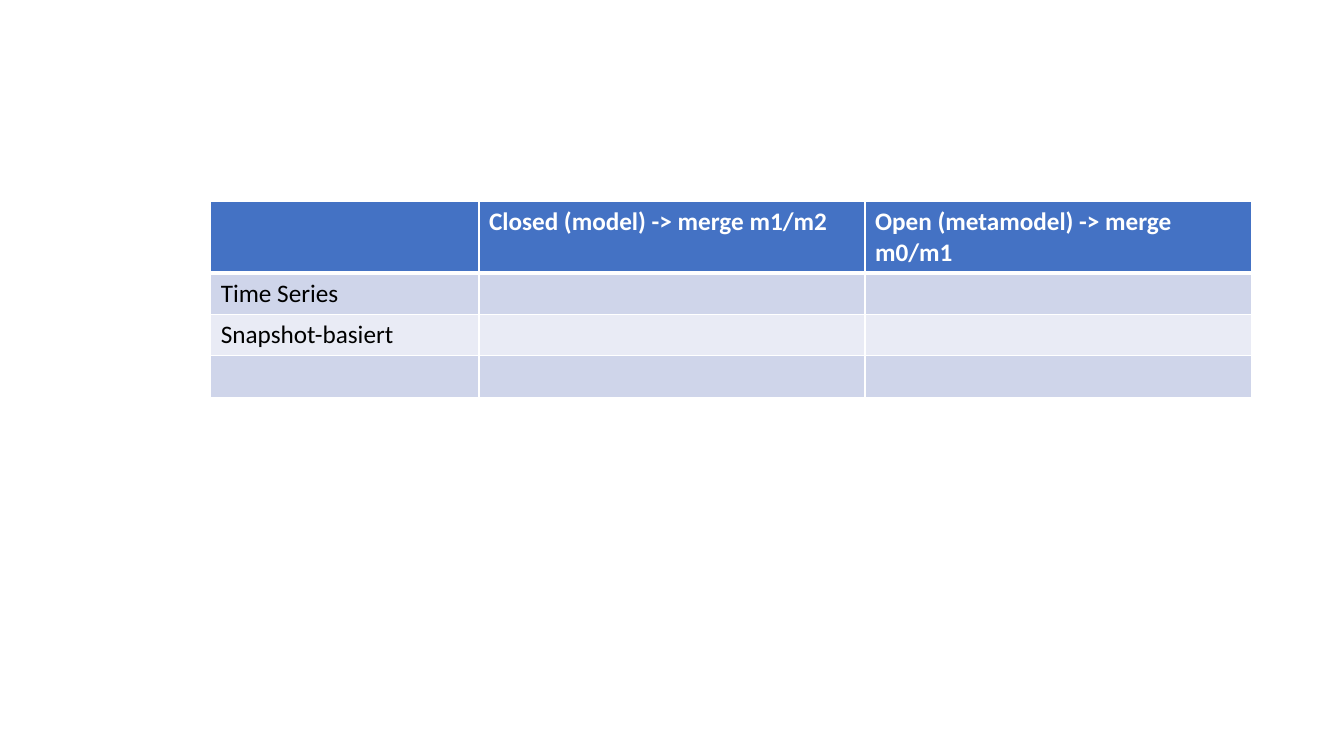
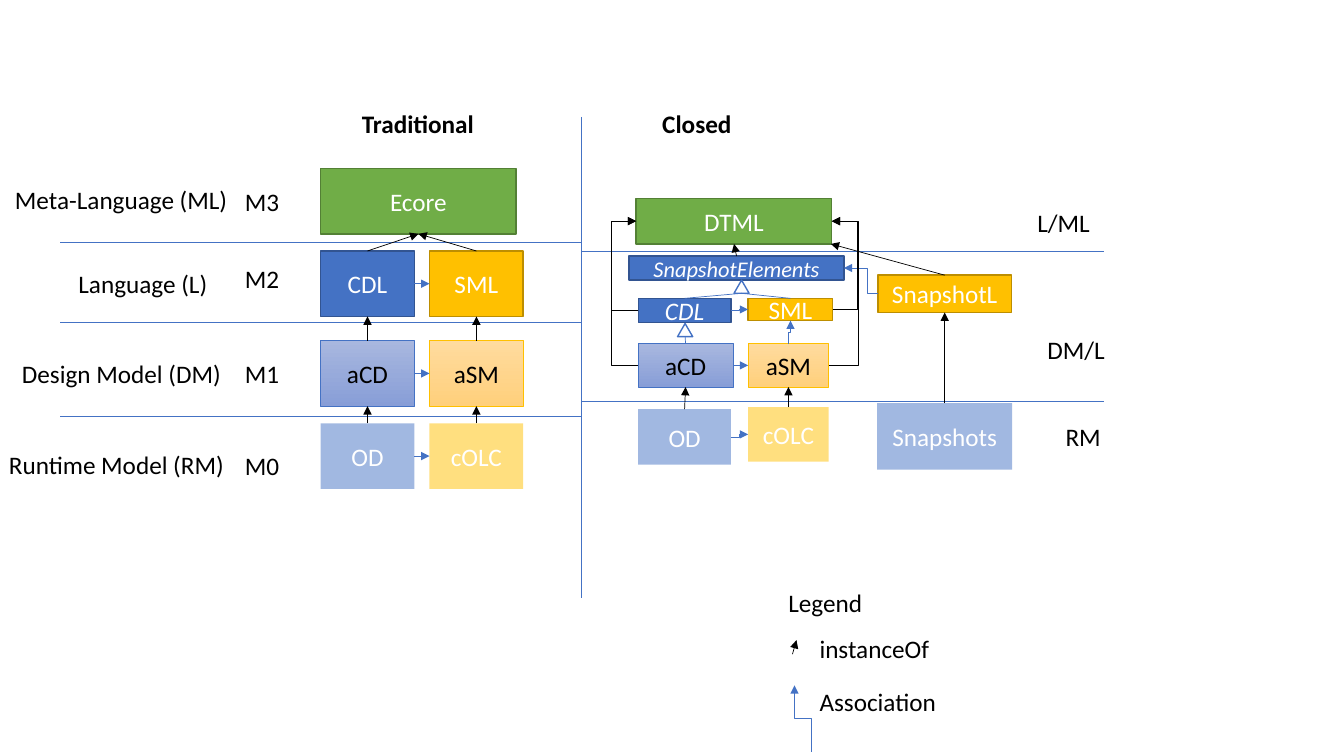
from lxml import etree
from pptx import Presentation
from pptx.dml.color import RGBColor
from pptx.enum.shapes import MSO_CONNECTOR, MSO_SHAPE
from pptx.enum.text import MSO_ANCHOR, PP_ALIGN
from pptx.oxml.ns import qn
from pptx.util import Inches, Pt

STRAIGHT, ELBOW = MSO_CONNECTOR.STRAIGHT, MSO_CONNECTOR.ELBOW
RECTANGLE, TRIANGLE = MSO_SHAPE.RECTANGLE, MSO_SHAPE.ISOSCELES_TRIANGLE
MIDDLE, CENTER = MSO_ANCHOR.MIDDLE, PP_ALIGN.CENTER
TOP, LEFT, BOTTOM, RIGHT = range(4)  # connection sites of a rectangle

FONT = "Calibri"
BLUE, GOLD, GREEN = "4472C4", "FFC000", "70AD47"
BLACK, WHITE = "000000", "FFFFFF"
BAND_DARK, BAND_LIGHT = "CFD5EA", "E9EBF5"

# style: fill (two colours make a gradient), opacity, line, line width, text
STYLES = {
    "meta": ([GREEN], 100, "538035", 1, WHITE),
    "class": ([BLUE], 100, "325491", 1, WHITE),
    "state": ([GOLD], 100, "BD8E00", 1, WHITE),
    "class model": (["A8B7DF", "889ED7"], 100, BLUE, 0.5, BLACK),
    "state model": (["FFDB9E", "FFD07C"], 100, GOLD, 0.5, BLACK),
    "class runtime": ([BLUE], 50, None, 0, WHITE),
    "state runtime": ([GOLD], 50, None, 0, WHITE),
    "inheritance": ([WHITE], 100, BLUE, 1, BLACK),
}


def rgb(value):
    return RGBColor.from_string(value)


def write(paragraph, text, color=BLACK, size=18, bold=False, italic=False):
    run = paragraph.add_run()
    run.text = text
    font = run.font
    font.name, font.size = FONT, Pt(size)
    font.bold, font.italic = bold, italic
    font.color.rgb = rgb(color)


def add_label(slide, text, left, top, width, bold=False):
    label = slide.shapes.add_textbox(
        Inches(left), Inches(top), Inches(width), Inches(0.4))
    label.text_frame.word_wrap = True
    write(label.text_frame.paragraphs[0], text, bold=bold)


def add_box(slide, style, text, left, top, width, height, kind=RECTANGLE,
            **font):
    fills, opacity, line, line_width, color = STYLES[style]
    shape = slide.shapes.add_shape(
        kind, Inches(left), Inches(top), Inches(width), Inches(height))
    shape.shadow.inherit = False
    if len(fills) == 2:
        shape.fill.gradient()
        shape.fill.gradient_angle = 270
        for stop, value in zip(shape.fill.gradient_stops, fills):
            stop.color.rgb = rgb(value)
    else:
        shape.fill.solid()
        shape.fill.fore_color.rgb = rgb(fills[0])
    if opacity < 100:
        for value in shape._element.spPr.iter(qn("a:srgbClr")):
            etree.SubElement(value, qn("a:alpha"), val=str(opacity * 1000))
    if line:
        shape.line.color.rgb = rgb(line)
        shape.line.width = Pt(line_width)
    else:
        shape.line.fill.background()
    if text:
        shape.text_frame.vertical_anchor = MIDDLE
        paragraph = shape.text_frame.paragraphs[0]
        paragraph.alignment = CENTER
        write(paragraph, text, color, **font)
    return shape


def point(left, top):
    return Inches(left), Inches(top)


def site(shape, side):
    """Return the middle of one side of a shape."""
    middle = shape.left + shape.width // 2, shape.top + shape.height // 2
    return {
        TOP: (middle[0], shape.top),
        LEFT: (shape.left, middle[1]),
        BOTTOM: (middle[0], shape.top + shape.height),
        RIGHT: (shape.left + shape.width, middle[1]),
    }[side]


def add_line(slide, start, end, color=BLUE, arrow=False, kind=STRAIGHT):
    connector = slide.shapes.add_connector(kind, *start, *end)
    connector.line.color.rgb = rgb(color)
    connector.line.width = Pt(0.5)
    if arrow:
        etree.SubElement(connector.line._get_or_add_ln(), qn("a:tailEnd"),
                         type="triangle")
    etree.SubElement(connector._element.spPr, qn("a:effectLst"))
    return connector


def join(slide, source, source_side, target, target_side, color=BLACK,
         arrow=True):
    """Glue a straight line to the sides of two boxes."""
    connector = add_line(slide, site(source, source_side),
                         site(target, target_side), color, arrow)
    connector.begin_connect(source, source_side)
    connector.end_connect(target, target_side)


def add_elbow(slide, start, end, color=BLUE, bend=None):
    """Draw an arrow that leaves sideways and turns at the position bend."""
    connector = add_line(slide, start, end, color, True, ELBOW)
    if bend is not None:
        ratio = (bend - start[0]) / (end[0] - start[0])
        guides = connector._element.spPr.find(qn("a:prstGeom")).get_or_add_avLst()
        etree.SubElement(guides, qn("a:gd"), name="adj1",
                         fmla=f"val {round(ratio * 100000)}")


def add_rising_elbow(slide, start, end):
    """Draw an arrow that leaves upwards, as an elbow turned by 270 degrees."""
    across, rise = end[0] - start[0], start[1] - end[1]
    middle_x, middle_y = (start[0] + end[0]) // 2, (start[1] + end[1]) // 2
    connector = add_line(
        slide, (middle_x - rise // 2, middle_y - across // 2),
        (middle_x + rise // 2, middle_y + across // 2), BLUE, True, ELBOW)
    connector._element.spPr.find(qn("a:xfrm")).set("rot", "16200000")


def set_borders(cell, bottom_width):
    properties = cell._tc.get_or_add_tcPr()
    widths = {"a:lnL": 1, "a:lnR": 1, "a:lnT": 1, "a:lnB": bottom_width}
    for index, (tag, width) in enumerate(widths.items()):
        line = etree.Element(qn(tag), w=str(Pt(width)))
        fill = etree.SubElement(line, qn("a:solidFill"))
        etree.SubElement(fill, qn("a:srgbClr"), val=WHITE)
        properties.insert(index, line)


def add_comparison_table(slide, left, top):
    rows = [
        ["", "Closed (model) -> merge m1/m2", "Open (metamodel) -> merge m0/m1"],
        ["Time Series", "", ""],
        ["Snapshot-basiert", "", ""],
        ["", "", ""],
    ]
    widths, heights = [2.66, 3.83, 3.83], [0.7, 0.41, 0.41, 0.41]
    table = slide.shapes.add_table(
        len(rows), len(widths), Inches(left), Inches(top),
        Inches(sum(widths)), Inches(sum(heights))).table
    for column, width in zip(table.columns, widths):
        column.width = Inches(width)
    for index, (texts, height) in enumerate(zip(rows, heights)):
        table.rows[index].height = Inches(height)
        header = index == 0
        fill = BLUE if header else BAND_DARK if index % 2 else BAND_LIGHT
        for cell, text in zip(table.rows[index].cells, texts):
            cell.fill.solid()
            cell.fill.fore_color.rgb = rgb(fill)
            above_body = index <= 1
            set_borders(cell, 3 if header else 1)
            if above_body and not header:
                cell._tc.tcPr.find(qn("a:lnT")).set("w", str(Pt(3)))
            if text:
                write(cell.text_frame.paragraphs[0], text,
                      WHITE if header else BLACK, bold=header)


def add_level_lines(slide):
    lines = [
        (5.77, 3.98, 10.95, 3.98), (5.77, 2.49, 10.95, 2.49),
        (0.6, 4.13, 5.77, 4.13), (0.6, 3.2, 5.77, 3.2),
        (0.6, 2.4, 5.77, 2.4), (5.77, 1.16, 5.77, 5.93),
    ]
    for x1, y1, x2, y2 in lines:
        add_line(slide, point(x1, y1), point(x2, y2))


def add_level_labels(slide):
    labels = [
        ("Meta-Language (ML)", 0.05, 1.78, 2.48), ("M3", 2.33, 1.8, 0.57),
        ("Language (L)", 0.68, 2.61, 1.54), ("M2", 2.33, 2.56, 0.57),
        ("Design Model (DM)", 0.12, 3.51, 2.23), ("M1", 2.33, 3.51, 0.57),
        ("Runtime Model (RM)", -0.01, 4.41, 2.48), ("M0", 2.33, 4.42, 0.57),
        ("L/ML", 10.19, 2.01, 1.72), ("DM/L", 10.29, 3.27, 1.72),
        ("RM", 10.47, 4.13, 1.72),
    ]
    for label in labels:
        add_label(slide, *label)


def add_traditional(slide, left, top):
    add_label(slide, "Traditional", left + 0.31, top - 0.64, 1.94, bold=True)
    ecore = add_box(slide, "meta", "Ecore", left, top, 1.94, 0.65)
    levels = [
        (0.82, ("class", "CDL"), ("state", "SML")),
        (1.71, ("class model", "aCD"), ("state model", "aSM")),
        (2.53, ("class runtime", "OD"), ("state runtime", "cOLC")),
    ]
    above = [ecore, ecore]
    for offset, *pair in levels:
        boxes = [add_box(slide, style, text, left + column * 1.08,
                         top + offset, 0.93, 0.65)
                 for column, (style, text) in enumerate(pair)]
        join(slide, boxes[0], RIGHT, boxes[1], LEFT, BLUE)
        for box, parent in zip(boxes, above):
            join(slide, box, TOP, parent, BOTTOM)
        above = boxes


def add_closed(slide, left, top):
    def box(style, text, x, y, width, height, **options):
        return add_box(slide, style, text, left + x, top + y, width, height,
                       **options)

    add_label(slide, "Closed", left + 0.16, top - 0.94, 1.94, bold=True)
    dtml = box("meta", "DTML", 0, 0, 1.94, 0.45)
    elements = box("class", "SnapshotElements", -0.07, 0.57, 2.13, 0.24,
                   size=16, italic=True)
    cdl = box("class", "CDL", 0.02, 0.99, 0.92, 0.24, italic=True)
    sml = box("state", "SML", 1.11, 0.99, 0.84, 0.22)
    acd = box("class model", "aCD", 0.02, 1.44, 0.94, 0.43)
    asm = box("state model", "aSM", 1.11, 1.44, 0.8, 0.43)
    od = box("class runtime", "OD", 0.02, 2.09, 0.92, 0.55)
    colc = box("state runtime", "cOLC", 1.11, 2.07, 0.8, 0.54)
    language = box("state", "SnapshotL", 2.4, 0.76, 1.32, 0.37)
    snapshots = box("class runtime", "Snapshots", 2.39, 2.03, 1.34, 0.66)

    heads = [box("inheritance", "", x, y, 0.15, 0.13, kind=TRIANGLE)
             for x, y in [(0.97, 0.81), (0.41, 1.24)]]
    for child, head in [(cdl, heads[0]), (sml, heads[0]), (acd, heads[1])]:
        add_line(slide, site(head, BOTTOM), site(child, TOP))
    for child, parent in [(od, acd), (colc, asm), (elements, dtml),
                          (snapshots, language)]:
        join(slide, child, TOP, parent, BOTTOM)
    add_line(slide, site(language, TOP), point(left + 1.93, top + 0.45),
             BLACK, True)

    for source, target in [(cdl, sml), (acd, asm), (od, colc)]:
        add_elbow(slide, site(source, RIGHT), site(target, LEFT))
    add_elbow(slide, site(language, LEFT), site(elements, RIGHT),
              bend=Inches(left + 2.29))
    add_rising_elbow(slide, site(asm, TOP), site(sml, BOTTOM))
    for sources, side, bend in [((acd, cdl), LEFT, -0.25),
                                ((asm, sml), RIGHT, 2.2)]:
        for source in sources:
            add_elbow(slide, site(source, side), site(dtml, side), BLACK,
                      Inches(left + bend))


def add_legend(slide, left, top):
    add_label(slide, "Legend", left, top, 1.22)
    for text, offset in [("instanceOf", 0.45), ("Association", 0.98)]:
        add_label(slide, text, left + 0.31, top + offset, 1.53)
    add_line(slide, point(left + 0.14, top + 0.71),
             point(left + 0.18, top + 0.57), BLACK, True)
    add_rising_elbow(slide, point(left + 0.33, top + 1.68),
                     point(left + 0.16, top + 1.02))


def main():
    presentation = Presentation()
    presentation.slide_width = Inches(13.33)
    presentation.slide_height = Inches(7.5)
    blank = presentation.slide_layouts[6]

    add_comparison_table(presentation.slides.add_slide(blank), 2.09, 2)

    slide = presentation.slides.add_slide(blank)
    add_level_lines(slide)
    add_level_labels(slide)
    add_traditional(slide, 3.18, 1.67)
    add_closed(slide, 6.31, 1.97)
    add_legend(slide, 7.72, 5.78)

    presentation.save("out.pptx")


if __name__ == "__main__":
    main()
